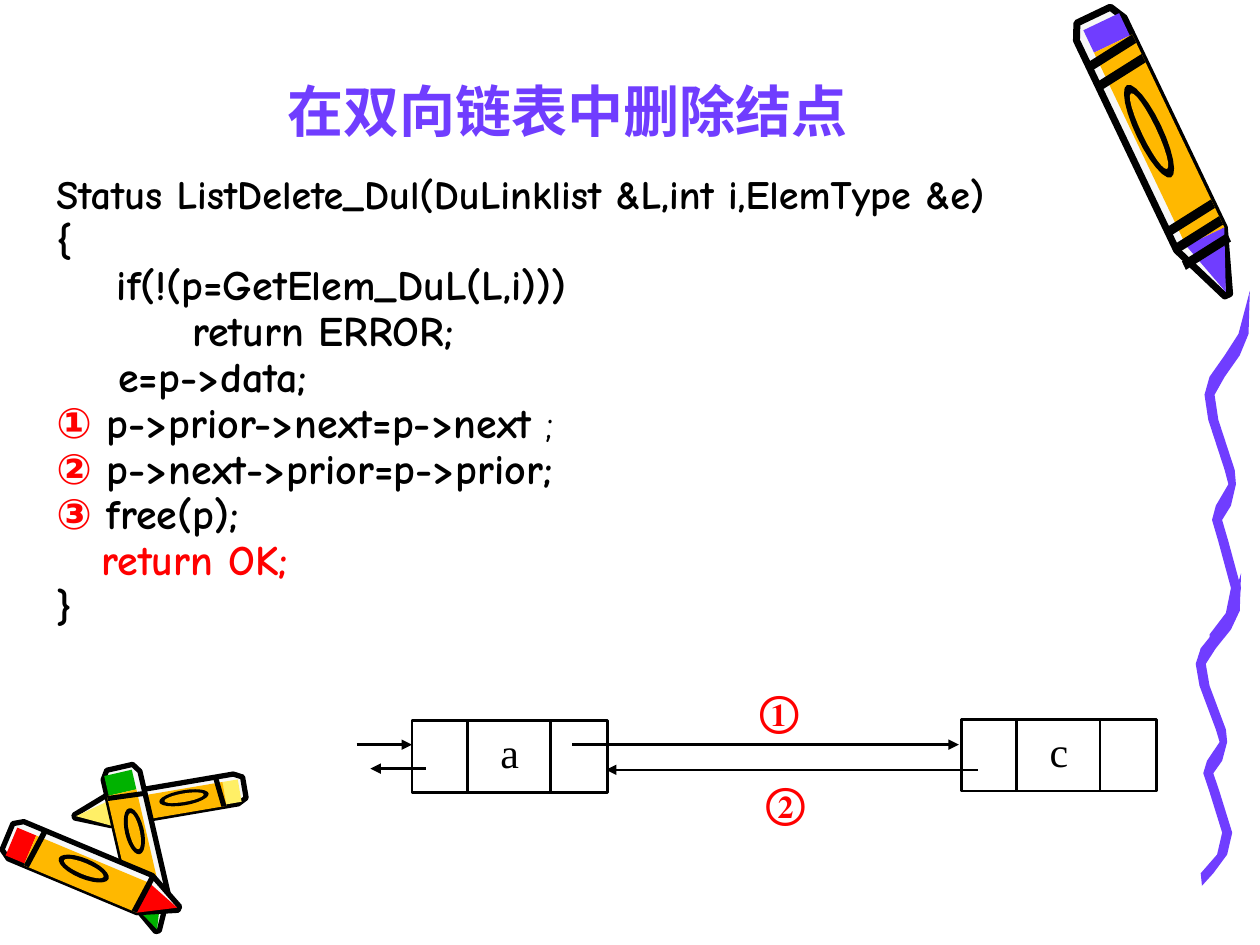
"""Slide on deleting a node from a doubly linked list."""
import math

import pptx
import pptx.dml.color
import pptx.enum.shapes
import pptx.enum.text
import pptx.oxml
import pptx.util
from pptx.util import Inches

CODE_FONT, NODE_FONT = "Comic Neue", "Times New Roman"
BLACK, WHITE, RED, PURPLE = "000000", "FFFFFF", "FF0000", "703DFF"
ORANGE, YELLOW, GREEN, PALE = "FFB800", "FFEF66", "00B200", "F8F8F8"

TITLE = "在双向链表中删除结点"
CODE = [
    (0, 23, [("Status ListDelete_Dul(DuLinklist &L,int i,ElemType &e)", BLACK, True)]),
    (0, 24, [("{", BLACK, True)]),
    (0.48, 24, [("if(!(p=GetElem_DuL(L,i)))", BLACK, True)]),
    (1.08, 24, [("return ERROR;", BLACK, True)]),
    (0.49, 24, [("e=p->data;", BLACK, True)]),
    (0, 24, [("①", RED, True), (" p->prior->next=p->next", BLACK, True), (" ;", BLACK, False)]),
    (0, 24, [("②", RED, True), (" p->next->prior=p->prior;", BLACK, True)]),
    (0, 24, [("③", RED, True), (" free(p);", BLACK, True)]),
    (0.36, 24, [("return OK;", RED, True)]),
    (0, 24, [("}", BLACK, True)]),
]
NODES = [("a", 3.27, 5.72), ("c", 7.63, 5.71)]
NODE_WIDTH, NODE_HEIGHT, DIVIDERS = 1.55, 0.57, (0.44, 1.1)
LINKS = [
    (2.83, 5.91, 3.27, 5.91),
    (3.38, 6.1, 2.94, 6.1),
    (7.76, 6.11, 4.81, 6.11),
    (4.54, 5.91, 7.61, 5.91),
]
STEPS = [("①", 5.93, 5.38), ("②", 5.98, 6.11)]

CRAYONS = [
    dict(end=(8.68, 0.12), tip=(9.74, 2.34), half_width=0.21, tint=PURPLE, lit_side=1, edge=4,
         bands=(0.11, 0.18, 0.7, 0.76, 0.82), oval=(0.25, 0.58)),
    dict(end=(1.94, 6.25), tip=(0.59, 6.48), half_width=0.12, tint=YELLOW, lit_side=1, edge=3,
         bands=(0.12,), oval=(0.21, 0.5)),
    dict(end=(0.95, 6.09), tip=(1.25, 7.39), half_width=0.15, tint=GREEN, lit_side=-1, edge=3,
         bands=(0.15,), oval=(0.25, 0.53)),
    dict(end=(0.06, 6.64), tip=(1.42, 7.21), half_width=0.16, tint=RED, lit_side=-1, edge=3,
         bands=(0.14, 0.77), oval=(0.3, 0.59)),
]
SHOULDER, BAND_DEPTH, BAND_LEAN = 0.8, 0.03, 0.02

RIBBONS = [(9.56, 2.31, 2.84), (9.49, 4.55, 2.48)]
RIBBON_BENDS = [
    (0, 0.36, 0), (0.12, 0.31, 0.04), (0.18, 0.22, 0.06), (0.24, 0.1, 0.06), (0.29, 0.04, 0.04),
    (0.36, 0.07, 0.04), (0.5, 0.2, 0.04), (0.54, 0.22, 0.03), (0.6, 0.15, 0.06), (0.64, 0.1, 0.04),
    (0.7, 0.15, 0.04), (0.83, 0.25, 0.04), (0.9, 0.21, 0.04), (0.96, 0.09, 0.05), (1, 0.05, 0),
]

deck = pptx.Presentation()
deck.slide_width, deck.slide_height = Inches(10), Inches(7.5)
shapes = deck.slides.add_slide(deck.slide_layouts[6]).shapes


def color(value):
    return pptx.dml.color.RGBColor.from_string(value)


def paint(shape, fill, edge=0):
    shape.shadow.inherit = False
    shape.fill.solid()
    shape.fill.fore_color.rgb = color(fill)
    if edge:
        shape.line.color.rgb = color(BLACK)
        shape.line.width = pptx.util.Pt(edge)
    else:
        shape.line.fill.background()


def add_outline(corners, fill, edge=0):
    corners = [(Inches(x), Inches(y)) for x, y in corners]
    builder = shapes.build_freeform(*corners[0])
    builder.add_line_segments(corners[1:], close=True)
    paint(builder.convert_to_shape(), fill, edge)


def add_crayon(end, tip, half_width, tint, lit_side, edge, bands, oval):
    run, drop = tip[0] - end[0], tip[1] - end[1]
    length = math.hypot(run, drop)
    across_x, across_y = -drop / length * half_width, run / length * half_width

    def add_part(corners, fill, line=0):
        """Place corners given as fractions along and across the crayon."""
        add_outline([(end[0] + along * run + across * across_x, end[1] + along * drop + across * across_y)
                     for along, across in corners], fill, line)

    def add_stripe(start, stop, fill, lit=0.6 * lit_side, dark=-lit_side, lean=0):
        add_part([(start, dark), (start + lean, lit), (stop + lean, lit), (stop, dark)], fill)

    def add_oval(thickness, inset, fill):
        middle, reach = sum(oval) / 2, (oval[1] - oval[0]) / 2 - inset
        turns = [2 * math.pi * step / 24 for step in range(24)]
        add_part([(middle + reach * math.cos(t), thickness * math.sin(t)) for t in turns], fill)

    barrel = [(0, -0.7), (0, 0.7), (0.05, 1), (SHOULDER, 1), (1, 0.1), (1, -0.1), (SHOULDER, -1), (0.05, -1)]
    add_part(barrel, PALE, edge)
    add_stripe(0.03, bands[0], tint, dark=-0.9 * lit_side)
    add_stripe(bands[0], SHOULDER, ORANGE)
    add_part([(SHOULDER, -lit_side), (SHOULDER, 0.6 * lit_side), (0.99, 0)], tint)
    for band in bands:
        add_stripe(band, band + BAND_DEPTH, BLACK, lit_side, lean=BAND_LEAN)
    add_oval(0.5, 0, BLACK)
    add_oval(0.28, 0.03, ORANGE)


def add_ribbon(left, top, height):
    right_edge = [(left + middle + half, top + down * height) for down, middle, half in RIBBON_BENDS]
    left_edge = [(left + middle - half, top + down * height) for down, middle, half in RIBBON_BENDS]
    add_outline(right_edge + left_edge[::-1], PURPLE)


def add_line(x1, y1, x2, y2, arrow=False):
    line = shapes.add_connector(pptx.enum.shapes.MSO_CONNECTOR.STRAIGHT,
                                Inches(x1), Inches(y1), Inches(x2), Inches(y2))
    line.line.color.rgb = color(BLACK)
    line.line.width = pptx.util.Pt(1.5)
    properties = line._element.spPr
    if arrow:
        tail = pptx.oxml.parse_xml(
            '<a:tailEnd xmlns:a="http://schemas.openxmlformats.org/drawingml/2006/main" type="triangle"/>')
        properties.find(pptx.oxml.ns.qn("a:ln")).append(tail)
    properties.append(properties.makeelement(pptx.oxml.ns.qn("a:effectLst"), {}))


def style(paragraph, font, size, ink=None, bold=None, align="LEFT"):
    paragraph.alignment = getattr(pptx.enum.text.PP_ALIGN, align)
    paragraph.font.name, paragraph.font.size = font, pptx.util.Pt(size)
    paragraph.font.bold = bold
    if ink:
        paragraph.font.color.rgb = color(ink)


def add_text_frame(left, top, width, height):
    frame = shapes.add_textbox(Inches(left), Inches(top), Inches(width), Inches(height)).text_frame
    frame.word_wrap = True
    return frame


for crayon in CRAYONS:
    add_crayon(**crayon)
for ribbon in RIBBONS:
    add_ribbon(*ribbon)

listing = add_text_frame(0.35, 1.4, 8.73, 4)
for number, (indent, size, pieces) in enumerate(CODE):
    statement = listing.add_paragraph() if number else listing.paragraphs[0]
    style(statement, CODE_FONT, size)
    statement.line_spacing, statement.space_before = 0.7, pptx.util.Pt(6)
    statement._p.get_or_add_pPr().set("marL", str(Inches(indent)))
    for words, ink, bold in pieces:
        piece = statement.add_run()
        piece.text, piece.font.bold = words, bold
        piece.font.color.rgb = color(ink)

for label, left, top in NODES:
    node = shapes.add_shape(pptx.enum.shapes.MSO_SHAPE.RECTANGLE, Inches(left), Inches(top),
                            Inches(NODE_WIDTH), Inches(NODE_HEIGHT))
    paint(node, WHITE, 1.5)
    node.text_frame.text = label
    node.text_frame.vertical_anchor = pptx.enum.text.MSO_ANCHOR.TOP
    style(node.text_frame.paragraphs[0], NODE_FONT, 24, BLACK, align="CENTER")
    for offset in DIVIDERS:
        add_line(left + offset, top, left + offset, top + NODE_HEIGHT)

for link in LINKS:
    add_line(*link, arrow=True)

heading = add_text_frame(0.75, 0.44, 7.51, 0.75)
heading.text = TITLE
heading.vertical_anchor = pptx.enum.text.MSO_ANCHOR.BOTTOM
style(heading.paragraphs[0], CODE_FONT, 32, PURPLE, True, "CENTER")

for mark, left, top in STEPS:
    step = add_text_frame(left, top, 0.5, 0.5)
    step.text = mark
    style(step.paragraphs[0], NODE_FONT, 24, RED, True)

deck.save("out.pptx")
